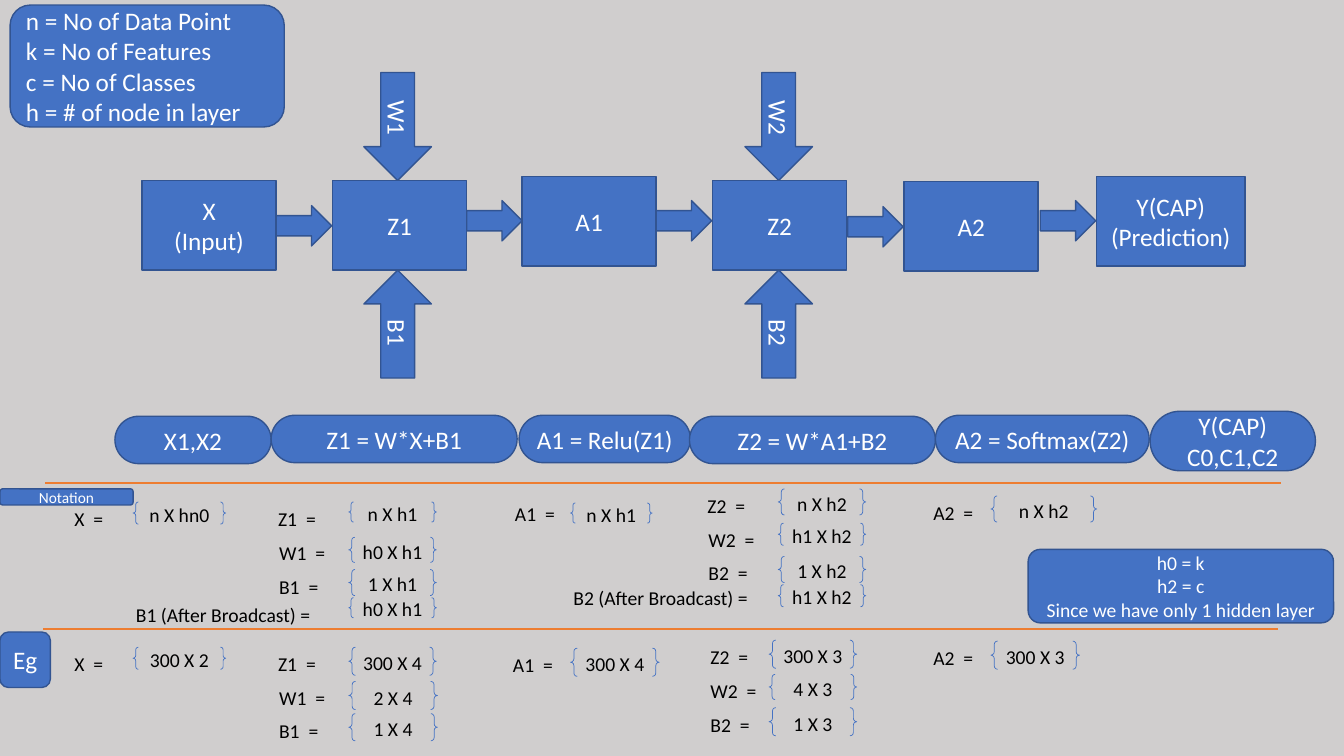
from lxml import etree
from pptx import Presentation
from pptx.dml.color import RGBColor
from pptx.enum.shapes import MSO_CONNECTOR, MSO_SHAPE
from pptx.enum.text import MSO_ANCHOR, MSO_AUTO_SIZE, PP_ALIGN
from pptx.oxml.ns import qn
from pptx.util import Inches, Pt

RECTANGLE = MSO_SHAPE.RECTANGLE
ROUNDED = MSO_SHAPE.ROUNDED_RECTANGLE
RIGHT_ARROW = MSO_SHAPE.RIGHT_ARROW
DOWN_ARROW = MSO_SHAPE.DOWN_ARROW
BRACES = MSO_SHAPE.DOUBLE_BRACE
STRAIGHT = MSO_CONNECTOR.STRAIGHT
LEFT, CENTER = PP_ALIGN.LEFT, PP_ALIGN.CENTER
TOP, MIDDLE = MSO_ANCHOR.TOP, MSO_ANCHOR.MIDDLE
GROW = MSO_AUTO_SIZE.SHAPE_TO_FIT_TEXT

CELL = 0.1
COLUMNS, ROWS = 133.33, 75
FONT = "Calibri"
BLUE, NAVY, ORANGE = "4472C4", "325491", "ED7D31"
WHITE, BLACK, GREY = "FFFFFF", "000000", "D0CECE"

LAYERS = [
    ("X\n(Input)", 14.1, 17.9, 13.3),
    ("Z1", 33, 17.9, 13.3),
    ("A1", 51.8, 17.5, 13.3),
    ("Z2", 70.7, 17.9, 13.3),
    ("A2", 89.7, 18, 13.3),
    ("Y(CAP)\n(Prediction)", 108.8, 17.5, 14.7),
]
FLOW_ARROWS = [(27.4, 20.4), (46.3, 19.9), (65.1, 19.9), (84.1, 20.5), (103.2, 19.9)]
PARAMETERS = [("W1", "B1", 36.1), ("W2", "B2", 73.9)]
FORMULAS = [
    ("X1,X2", 11.4, 41.3, 15.5, 4.7),
    ("Z1 = W*X+B1", 26.9, 41.2, 24.4, 4.7),
    ("A1 = Relu(Z1)", 51.5, 41.2, 17, 4.7),
    ("Z2 = W*A1+B2", 68.4, 41.3, 24.4, 4.7),
    ("A2 = Softmax(Z2)", 92.8, 41.2, 21.2, 4.7),
    ("Y(CAP) C0,C1,C2", 114.1, 40.8, 16.4, 5.9),
]
NOTATION = [
    ("X  =", 6.4, 49.8, "n X hn0", 13.2, 49.8, 9.2, 2.2),
    ("Z1  =", 26.6, 49.8, "n X h1", 34.6, 49.8, 8.7, 2),
    ("W1  =", 26.7, 53.2, "h0 X h1", 34.6, 53.3, 8.7, 2.5),
    ("B1  =", 26.7, 56.5, "1 X h1", 34.6, 56.5, 8.7, 2.6),
    ("B1 (After Broadcast) =", 12.5, 59.3, "h0 X h1", 34.6, 59.3, 8.7, 2),
    ("A1  =", 50.1, 49.3, "n X h1", 56.6, 49.9, 8.1, 2),
    ("Z2  =", 69.2, 48.5, "n X h2", 77.2, 48.5, 8.7, 2.6),
    ("W2  =", 69.3, 51.9, "h1 X h2", 77.2, 51.9, 8.7, 2.2),
    ("B2  =", 69.3, 55.2, "1 X h2", 77.2, 55.2, 8.7, 2.6),
    ("B2 (After Broadcast) =", 55.9, 57.6, "h1 X h2", 77.2, 58, 8.7, 2.2),
    ("A2  =", 91.6, 49.2, "n X h2", 98.3, 49.2, 10.5, 2.6),
]
EXAMPLE = [
    ("X  =", 6.4, 64.2, "300 X 2", 13.2, 64.2, 9.2, 2.2),
    ("Z1  =", 26.6, 64.2, "300 X 4", 34.6, 64.2, 8.7, 2.8),
    ("W1  =", 26.7, 67.6, "2 X 4", 34.6, 67.6, 8.8, 2.8),
    ("B1  =", 26.7, 70.8, "1 X 4", 34.6, 70.8, 8.8, 2.7),
    ("A1  =", 49.9, 64.3, "300 X 4", 56.6, 64.3, 8.8, 2.8),
    ("Z2  =", 69.5, 63.5, "300 X 3", 76.3, 63.5, 8.7, 2.8),
    ("W2  =", 69.5, 66.9, "4 X 3", 76.3, 66.9, 8.7, 2.5),
    ("B2  =", 69.5, 70.2, "1 X 3", 76.3, 70.2, 8.7, 2.8),
    ("A2  =", 91.6, 63.6, "300 X 3", 98.3, 63.6, 8.8, 2.8),
]


def cells(*counts):
    """Turn counts of grid cells into lengths."""
    return [Inches(count * CELL) for count in counts]


def paint(color_format, code):
    """Set a colour from a hex string."""
    color_format.rgb = RGBColor.from_string(code)


def write(box, text, size=18, color=WHITE, align=CENTER, anchor=MIDDLE):
    """Fill a box with one paragraph for each line of text."""
    frame = box.text_frame
    frame.word_wrap = True
    frame.vertical_anchor = anchor
    for index, line in enumerate(text.split("\n")):
        para = frame.add_paragraph() if index else frame.paragraphs[0]
        para.alignment = align
        span = para.add_run()
        span.text = line
        span.font.name = FONT
        span.font.size = Pt(size)
        paint(span.font.color, color)


def add_block(page, kind, place, text="", rounding=None, **style):
    """Add a filled blue shape with optional text."""
    block = page.shapes.add_shape(kind, *cells(*place))
    block.shadow.inherit = False
    block.fill.solid()
    paint(block.fill.fore_color, BLUE)
    paint(block.line.color, NAVY)
    block.line.width = Pt(1)
    if rounding is not None:
        block.adjustments[0] = rounding
    if text:
        write(block, text, **style)
    return block


def add_parameter(page, text, left, top, turn, direction):
    """Add a block arrow with sideways text."""
    arrow = add_block(page, DOWN_ARROW, (left, top, 6.7, 10.7), text)
    arrow.rotation = turn
    arrow.element.txBody.bodyPr.set("vert", direction)


def add_dimension(page, label, left, top, value, brace_left, brace_top, width, height):
    """Add a variable label and its matrix size in braces."""
    label_width = 20.4 if "Broadcast" in label else 6.8
    caption = page.shapes.add_textbox(*cells(left, top, label_width, 3.4))
    write(caption, label, size=14, color=BLACK, align=LEFT, anchor=TOP)
    caption.text_frame.auto_size = GROW
    braces = page.shapes.add_shape(BRACES, *cells(brace_left, brace_top, width, height))
    braces.shadow.inherit = False
    braces.adjustments[0] = 0.12
    braces.fill.background()
    paint(braces.line.color, BLUE)
    braces.line.width = Pt(0.5)
    write(braces, value, size=14, color=BLACK)


def add_divider(page, left, right, row):
    """Add a horizontal orange rule."""
    divider = page.shapes.add_connector(STRAIGHT, *cells(left, row, right, row))
    paint(divider.line.color, ORANGE)
    divider.line.width = Pt(1.5)
    etree.SubElement(divider.element.spPr, qn("a:effectLst"))


def main():
    """Build the neural network slide."""
    deck = Presentation()
    deck.slide_width, deck.slide_height = cells(COLUMNS, ROWS)
    page = deck.slides.add_slide(deck.slide_layouts[6])
    page.background.fill.solid()
    paint(page.background.fill.fore_color, GREY)

    for text, left, top, width in LAYERS:
        add_block(page, RECTANGLE, (left, top, width, 8.9), text)
    for left, top in FLOW_ARROWS:
        add_block(page, RIGHT_ARROW, (left, top, 5.5, 4))
    for weight, bias, left in PARAMETERS:
        add_parameter(page, weight, left, 7.2, 0, "vert")
        add_parameter(page, bias, left, 26.8, 180, "vert270")

    legend = ("n = No of Data Point\nk = No of Features\n"
              "c = No of Classes\nh = # of node in layer")
    add_block(page, ROUNDED, (1, 0.5, 27.2, 12.1), legend, align=LEFT)
    for text, *place in FORMULAS:
        add_block(page, ROUNDED, place, text, rounding=0.5)
    for dimension in NOTATION + EXAMPLE:
        add_dimension(page, *dimension)
    add_divider(page, 4.3, 126.8, 62.4)
    add_divider(page, 4.5, 127.1, 47.9)

    remark = "h0 = k\nh2 = c\nSince we have only 1 hidden layer"
    add_block(page, ROUNDED, (102, 54.5, 30.3, 7.3), remark, size=14)
    add_block(page, ROUNDED, (0, 62.7, 5, 5.5), "Eg")
    add_block(page, ROUNDED, (0, 48.5, 13.2, 1.6), "Notation", size=11)
    deck.save("out.pptx")


if __name__ == "__main__":
    main()
